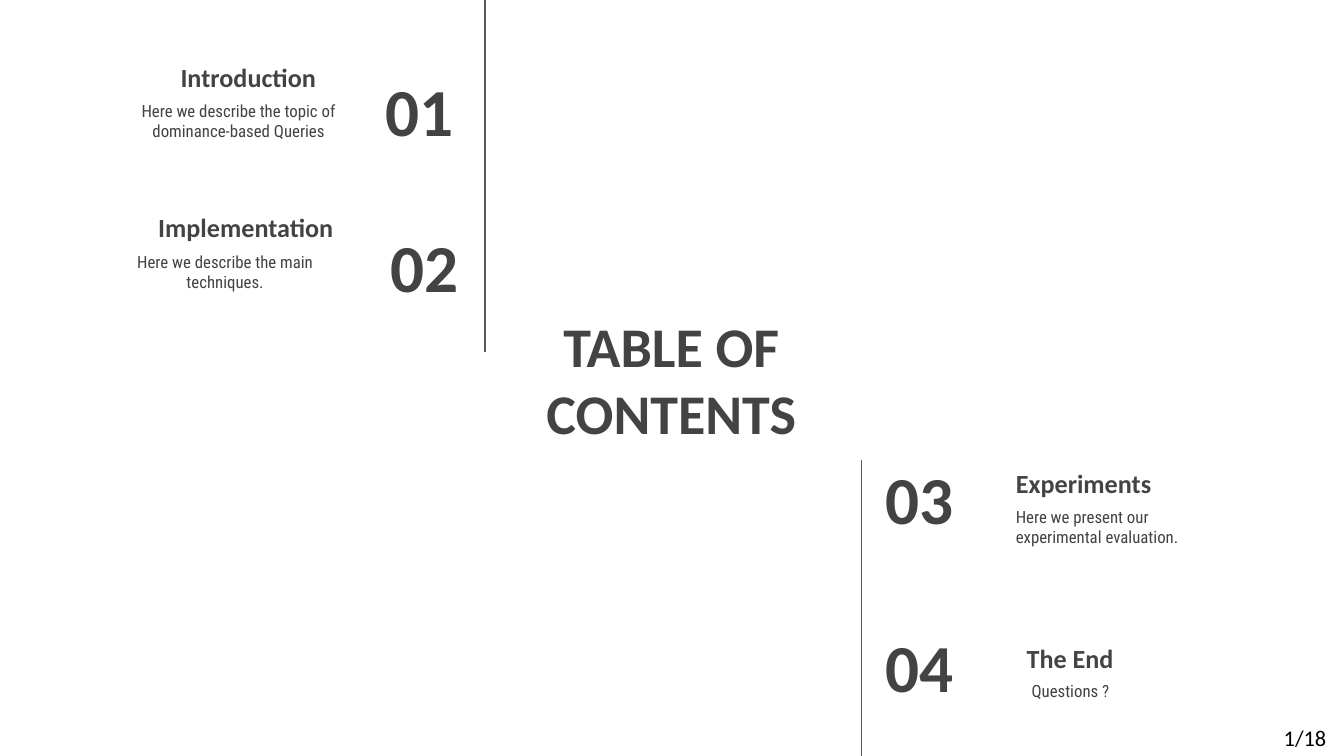
from pptx import Presentation
from pptx.dml.color import RGBColor
from pptx.enum.shapes import MSO_CONNECTOR
from pptx.enum.text import MSO_ANCHOR, PP_ALIGN
from pptx.oxml.ns import qn
from pptx.util import Inches, Pt
from lxml import etree

LEFT, CENTER, RIGHT = PP_ALIGN.LEFT, PP_ALIGN.CENTER, PP_ALIGN.RIGHT
TOP, MIDDLE, BOTTOM = MSO_ANCHOR.TOP, MSO_ANCHOR.MIDDLE, MSO_ANCHOR.BOTTOM

WIDTH = 10
HEIGHT = WIDTH * 9 / 16
ROW_HEIGHT = 0.63
DARK, RULE, BLACK = "434343", "595959", "000000"

STYLES = {
    "heading": ("Calibri", 30, True, DARK, MIDDLE),
    "number": ("Calibri", 36, True, DARK, MIDDLE),
    "title": ("Calibri", 14, True, DARK, BOTTOM),
    "description": ("Roboto Condensed", 9, False, DARK, TOP),
    "page": ("Calibri", 12, False, BLACK, MIDDLE),
}

SECTIONS = [
    {"number": ("01", 2.26, 0.5, 1.21, RIGHT),
     "title": ("Introduction", 0.4, 0.16, 2.05, RIGHT),
     "description": ("Here we describe the topic of dominance-based Queries",
                     0.86, 0.65, 1.83, CENTER)},
    {"number": ("02", 2.3, 1.66, 1.21, RIGHT),
     "title": ("Implementation", 0.48, 1.28, 2.1, RIGHT),
     "description": ("Here we describe the main techniques.",
                     0.76, 1.77, 1.83, CENTER)},
    {"number": ("03", 6.49, 3.39, 1.17, LEFT),
     "title": ("Experiments", 7.46, 3.18, 2.16, LEFT),
     "description": ("Here we present our experimental evaluation.",
                     7.46, 3.67, 1.83, LEFT)},
    {"number": ("04", 6.49, 4.64, 1.17, LEFT),
     "title": ("The End", 7.54, 4.48, 2.16, LEFT),
     "description": ("Questions ?", 7.05, 4.99, 1.83, CENTER)},
]
VERTICAL_RULES = [(3.61, 0, 2.62), (6.41, 3.42, 5.64)]


def color(value):
    return RGBColor.from_string(value)


def add_text(slide, style, text, left, top, width, alignment, height=ROW_HEIGHT):
    font_name, size, bold, text_color, anchor = STYLES[style]
    box = slide.shapes.add_textbox(*map(Inches, (left, top, width, height)))
    frame = box.text_frame
    frame.word_wrap = True
    frame.vertical_anchor = anchor
    frame.margin_left = frame.margin_right = Inches(0.1)
    frame.margin_top = frame.margin_bottom = Inches(0.1)
    paragraph = frame.paragraphs[0]
    paragraph.text = text
    paragraph.alignment = alignment
    font = paragraph.font
    font.name, font.size, font.bold = font_name, Pt(size), bold
    font.color.rgb = color(text_color)


def add_vertical_rule(slide, x, top, bottom):
    line = slide.shapes.add_connector(
        MSO_CONNECTOR.STRAIGHT, *map(Inches, (x, top, x, bottom)))
    line.line.color.rgb = color(RULE)
    line.line.width = Pt(0.75)
    etree.SubElement(line._element.spPr, qn("a:effectLst"))


def main():
    """Build the table of contents slide."""
    presentation = Presentation()
    presentation.slide_width, presentation.slide_height = Inches(WIDTH), Inches(HEIGHT)
    slide = presentation.slides.add_slide(presentation.slide_layouts[6])
    add_text(slide, "heading", "TABLE OF CONTENTS", 3.7, 2.3, 2.59, CENTER, 1.03)
    for section in SECTIONS:
        for style, content in section.items():
            add_text(slide, style, *content)
    for rule in VERTICAL_RULES:
        add_vertical_rule(slide, *rule)
    add_text(slide, "page", "1/18", WIDTH - 0.58, 5.34, 0.58, CENTER, 0.29)
    presentation.save("out.pptx")


if __name__ == "__main__":
    main()
